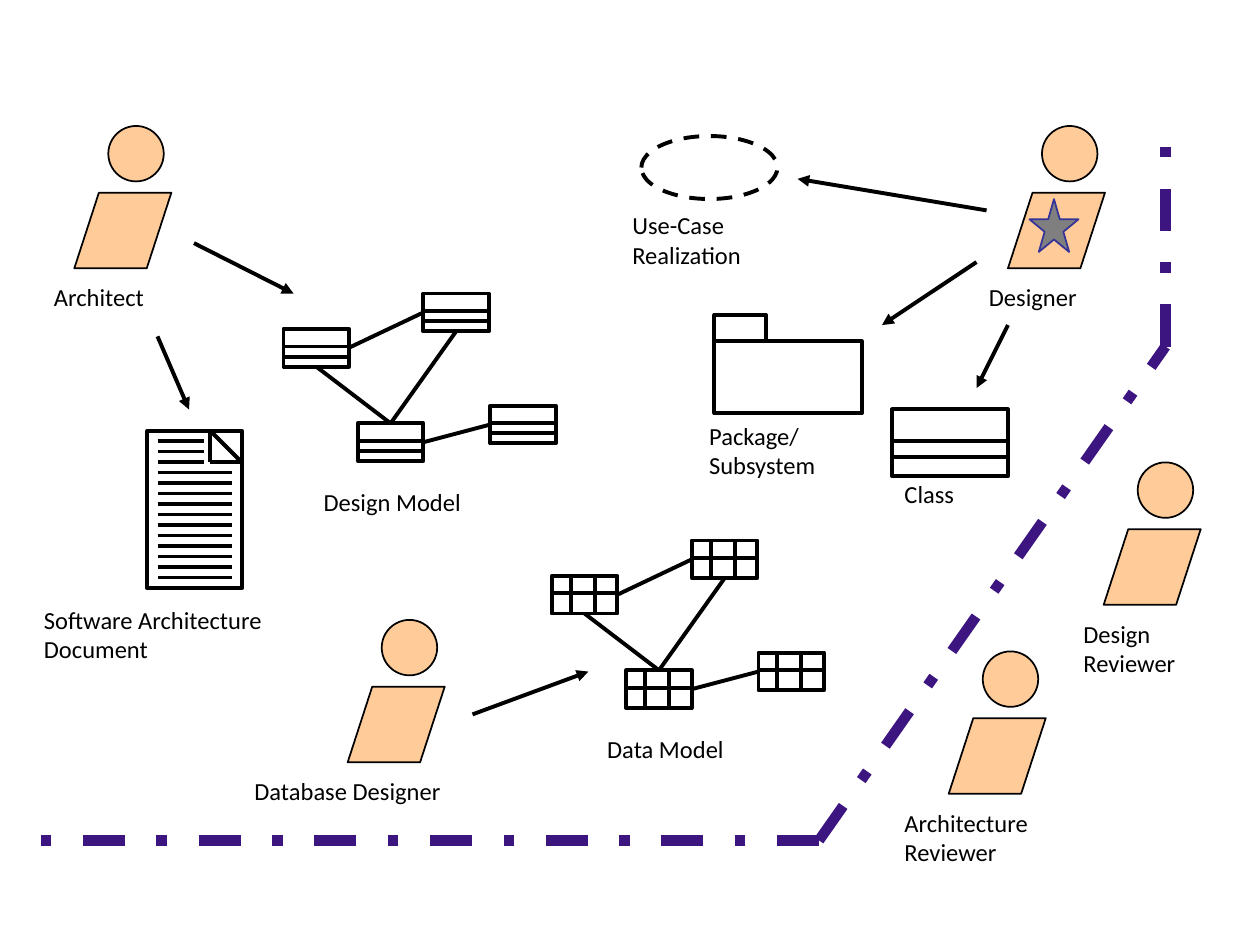
from lxml import etree
from pptx import Presentation
from pptx.dml.color import RGBColor
from pptx.enum.dml import MSO_LINE
from pptx.enum.shapes import MSO_CONNECTOR, MSO_SHAPE
from pptx.enum.text import MSO_AUTO_SIZE
from pptx.oxml.ns import qn
from pptx.util import Inches, Pt

RECT, OVAL = MSO_SHAPE.RECTANGLE, MSO_SHAPE.OVAL
SLANTED, STAR = MSO_SHAPE.PARALLELOGRAM, MSO_SHAPE.STAR_5_POINT
STRAIGHT = MSO_CONNECTOR.STRAIGHT
DASH, DASH_DOT = MSO_LINE.DASH, MSO_LINE.DASH_DOT
TOP, LEFT, BOTTOM, RIGHT = range(4)
COLORS = {
    "ink": "000000",
    "skin": "FFCC99",
    "boundary": "3C1581",
    "star": "7F7F7F",
    "star_edge": "333399",
}

prs = Presentation()
prs.slide_width, prs.slide_height = Inches(10), Inches(7.5)
slide = prs.slides.add_slide(prs.slide_layouts[6])


def add_figure(kind, left, top, width, height, fill=None, edge="ink", weight=2.25):
    figure = slide.shapes.add_shape(kind, Inches(left), Inches(top), Inches(width), Inches(height))
    figure.shadow.inherit = False
    if fill:
        figure.fill.solid()
        figure.fill.fore_color.rgb = RGBColor.from_string(COLORS[fill])
    else:
        figure.fill.background()
    figure.line.color.rgb = RGBColor.from_string(COLORS[edge])
    figure.line.width = Pt(weight)
    return figure


def add_line(x1, y1, x2, y2, color="ink", weight=2.25, arrow=False):
    line = slide.shapes.add_connector(STRAIGHT, Inches(x1), Inches(y1), Inches(x2), Inches(y2))
    line.line.color.rgb = RGBColor.from_string(COLORS[color])
    line.line.width = Pt(weight)
    if arrow:
        etree.SubElement(line.line._get_or_add_ln(), qn("a:tailEnd"), type="triangle")
    etree.SubElement(line._element.spPr, qn("a:effectLst"))
    return line


for left, top in [(0.59, 1), (8, 1), (2.76, 4.92), (7.53, 5.17), (8.76, 3.67)]:
    add_figure(OVAL, left + 0.27, top, 0.44, 0.44, "skin", weight=1)
    body = add_figure(SLANTED, left, top + 0.53, 0.77, 0.6, "skin", weight=1)
    body.adjustments[0] = 0.325

add_figure(RECT, 1.17, 3.42, 0.75, 1.25)
for fold in [(1.67, 3.42, 1.92, 3.67), (1.67, 3.42, 1.67, 3.67), (1.92, 3.67, 1.67, 3.67)]:
    add_line(*fold)
for row in range(14):
    y = 3.5 + row / 12
    add_line(1.25, y, 1.62 if row < 3 else 1.84, y)

model_boxes = [(2.25, 2.61), (3.36, 2.33), (2.84, 3.36), (3.89, 3.22)]
model_links = [(2, TOP, 0, BOTTOM), (0, RIGHT, 1, LEFT), (2, RIGHT, 3, LEFT), (2, TOP, 1, BOTTOM)]
box_width, box_height = 0.52, 0.3
for dx, dy, rows, columns in [(0, 0, (0.14, 0.22), ()), (2.13, 1.96, (0.14,), (0.15, 0.34))]:
    boxes = []
    for box_left, box_top in model_boxes:
        left, top = box_left + dx, box_top + dy
        boxes.append(add_figure(RECT, left, top, box_width, box_height))
        for row in rows:
            add_line(left, top + row, left + box_width, top + row)
        for column in columns:
            add_line(left + column, top, left + column, top + box_height)
    for source, source_side, target, target_side in model_links:
        link = add_line(0, 0, 1, 1)
        link.begin_connect(boxes[source], source_side)
        link.end_connect(boxes[target], target_side)

add_figure(RECT, 5.67, 2.71, 1.17, 0.57)
add_figure(RECT, 5.67, 2.5, 0.41, 0.21)

add_figure(RECT, 7.08, 3.25, 0.92, 0.53)
for y in (3.5, 3.63):
    add_line(7.08, y, 8, y)

use_case = add_figure(OVAL, 5.09, 1.08, 1.08, 0.5)
use_case.line.dash_style = DASH

for arrow_ends in [
    (1.25, 2.67, 1.5, 3.25),
    (1.54, 1.93, 2.33, 2.33),
    (7.75, 2.08, 7, 2.58),
    (8, 2.58, 7.75, 3.08),
    (7.83, 1.67, 6.33, 1.42),
    (3.75, 5.67, 4.67, 5.33),
]:
    add_line(*arrow_ends, arrow=True)

for boundary_ends in [(6.5, 6.67, 9.25, 2.75), (6.5, 6.67, 0.25, 6.67), (9.25, 2.75, 9.25, 1)]:
    boundary = add_line(*boundary_ends, color="boundary", weight=6)
    boundary.line.dash_style = DASH_DOT

add_figure(STAR, 8.17, 1.58, 0.39, 0.42, "star", "star_edge", 1)

labels = [
    (0.33, 2.19, 1.19, [["Architect"]]),
    (0.25, 4.75, 2.59, [["Software Architecture"], ["Document"]]),
    (2.47, 3.82, 1.74, [["Design Model"]]),
    (7.75, 2.19, 1.19, [["Designer"]]),
    (4.92, 1.62, 1.41, [["Use-Case"], ["Realization"]]),
    (5.53, 3.29, 1.4, [["Package/", "Subsystem"]]),
    (7.08, 3.75, 0.76, [["Class"]]),
    (1.92, 6.11, 2.29, [["Database Designer"]]),
    (4.72, 5.78, 1.49, [["Data Model"]]),
    (7.08, 6.36, 1.55, [["Architecture"], ["Reviewer"]]),
    (8.5, 4.86, 1.19, [["Design"], ["Reviewer"]]),
]
for left, top, width, paragraphs in labels:
    height = 0.4 if len(sum(paragraphs, [])) == 1 else 0.71
    label = slide.shapes.add_textbox(Inches(left), Inches(top), Inches(width), Inches(height))
    frame = label.text_frame
    frame.word_wrap = False
    frame.auto_size = MSO_AUTO_SIZE.SHAPE_TO_FIT_TEXT
    for number, pieces in enumerate(paragraphs):
        paragraph = frame.add_paragraph() if number else frame.paragraphs[0]
        for position, piece in enumerate(pieces):
            if position:
                paragraph.add_line_break()
            run = paragraph.add_run()
            run.text = piece
            run.font.name = "Calibri"
            run.font.size = Pt(14)
            run.font.color.rgb = RGBColor.from_string(COLORS["ink"])

prs.save("out.pptx")
